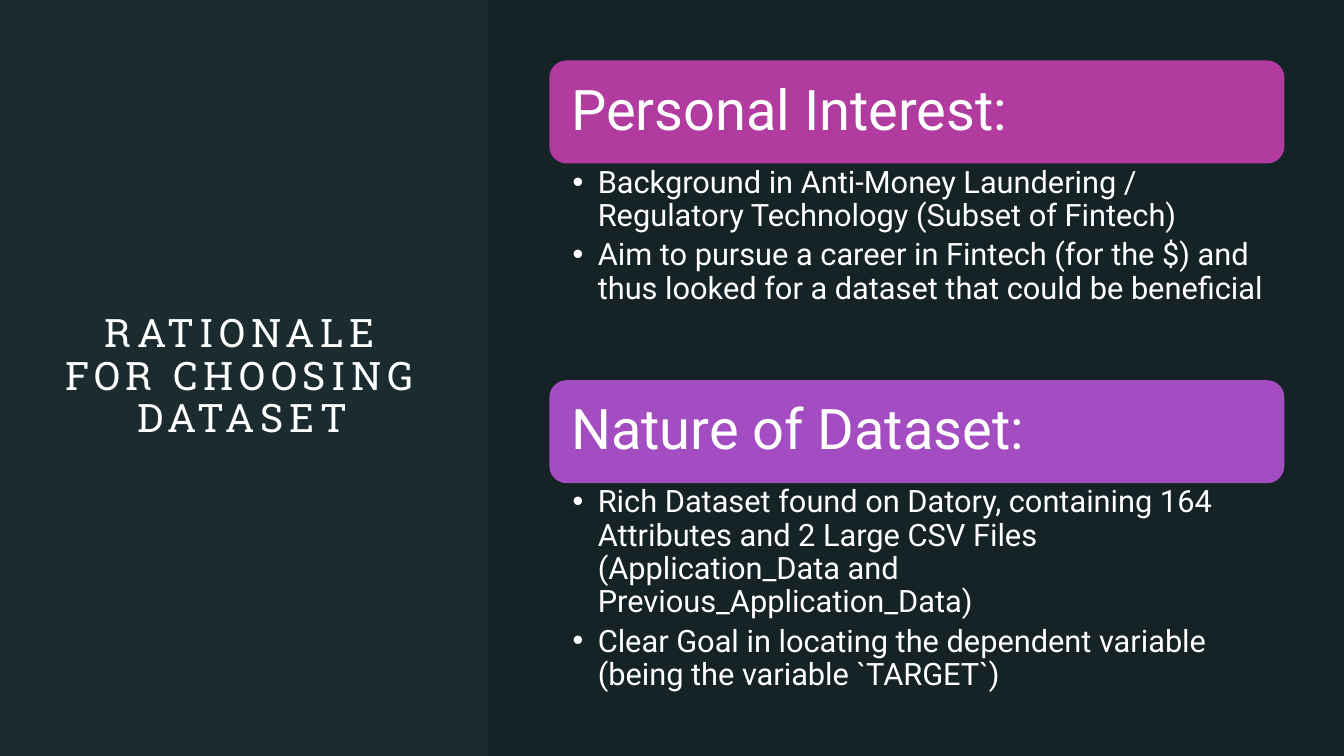
from lxml import etree
from pptx import Presentation
from pptx.dml.color import RGBColor
from pptx.enum.shapes import MSO_SHAPE
from pptx.enum.text import MSO_ANCHOR, PP_ALIGN
from pptx.oxml.ns import qn
from pptx.util import Pt

# Content
TITLE = "RATIONALE FOR CHOOSING DATASET"
REASONS = [
    {
        "heading": "Personal Interest:",
        "color": "magenta",
        "points_height": 154.8,
        "points": [
            "Background in Anti-Money Laundering / Regulatory Technology (Subset of Fintech)",
            "Aim to pursue a career in Fintech (for the $) and thus looked for a dataset "
            "that could be beneficial",
        ],
    },
    {
        "heading": "Nature of Dataset:",
        "color": "violet",
        "points_height": 151.9,
        "points": [
            "Rich Dataset found on Datory, containing 164 Attributes and 2 Large CSV Files "
            "(Application_Data and Previous_Application_Data)",
            "Clear Goal in locating the dependent variable (being the variable `TARGET`)",
        ],
    },
]
COLORS = {
    "background": "1B2B30",
    "shade": "000000",
    "magenta": "B13B9F",
    "violet": "A44DC3",
    "text": "FFFFFF",
}

# Layout in points
SLIDE_W, SLIDE_H = 960, 540
PANEL_LEFT = 348.5
REASON_LEFT, REASON_TOP, REASON_W = 392.4, 43.2, 525
HEADING_H = 73.6
INDENT = 18


def rgb(name):
    return RGBColor.from_string(COLORS[name])


def add_block(slide, preset, box, color):
    block = slide.shapes.add_shape(preset, *map(Pt, box))
    block.shadow.inherit = False
    block.fill.solid()
    block.fill.fore_color.rgb = rgb(color)
    block.line.fill.background()
    return block


def set_frame(frame, margins, anchor):
    frame.word_wrap = True
    frame.vertical_anchor = anchor
    (frame.margin_left, frame.margin_top,
     frame.margin_right, frame.margin_bottom) = map(Pt, margins)


def style(paragraph, text, size, face="Roboto", align=PP_ALIGN.LEFT):
    paragraph.text = text
    paragraph.alignment = align
    paragraph.line_spacing = 0.9
    paragraph.font.size = Pt(size)
    paragraph.font.name = face
    paragraph.font.color.rgb = rgb("text")


def add_bullet(paragraph):
    properties = paragraph._p.get_or_add_pPr()
    properties.set("marL", str(Pt(INDENT)))
    properties.set("indent", str(-Pt(INDENT)))
    etree.SubElement(properties, qn("a:buFont")).set("typeface", "Arial")
    etree.SubElement(properties, qn("a:buChar")).set("char", "•")


def add_reason(slide, reason, top):
    """Draw a heading bar with its points and return the bottom edge."""
    heading = add_block(slide, MSO_SHAPE.ROUNDED_RECTANGLE,
                        (REASON_LEFT, top, REASON_W, HEADING_H), reason["color"])
    set_frame(heading.text_frame, (12, 12, 12, 12), MSO_ANCHOR.MIDDLE)
    style(heading.text_frame.paragraphs[0], reason["heading"], 40)

    points_top = top + HEADING_H
    points = slide.shapes.add_textbox(
        *map(Pt, (REASON_LEFT, points_top, REASON_W, reason["points_height"]))).text_frame
    set_frame(points, (16.6, 2.2, 12.2, 2.2), MSO_ANCHOR.TOP)
    for number, text in enumerate(reason["points"]):
        point = points.add_paragraph() if number else points.paragraphs[0]
        add_bullet(point)
        style(point, text, 22)
        point.space_after = Pt(4.4)
    return points_top + reason["points_height"]


def main():
    deck = Presentation()
    deck.slide_width, deck.slide_height = Pt(SLIDE_W), Pt(SLIDE_H)
    slide = deck.slides.add_slide(deck.slide_layouts[6])
    slide.background.fill.solid()
    slide.background.fill.fore_color.rgb = rgb("background")

    # Title on the left
    title = slide.shapes.add_textbox(*map(Pt, (42.5, 85, 261.4, 369.4))).text_frame
    set_frame(title, (0, 0, 0, 0), MSO_ANCHOR.MIDDLE)
    style(title.paragraphs[0], TITLE, 28, "Roboto Slab", PP_ALIGN.CENTER)
    title.paragraphs[0].runs[0].font._element.set("spc", "400")

    # Translucent panel on the right
    panel = add_block(slide, MSO_SHAPE.RECTANGLE,
                      (PANEL_LEFT, 0, SLIDE_W - PANEL_LEFT, SLIDE_H), "shade")
    shade = panel._element.spPr.find(qn("a:solidFill"))[0]
    etree.SubElement(shade, qn("a:alpha")).set("val", "20000")

    # Stacked reasons
    top = REASON_TOP
    for reason in REASONS:
        top = add_reason(slide, reason, top)

    deck.save("out.pptx")


if __name__ == "__main__":
    main()
